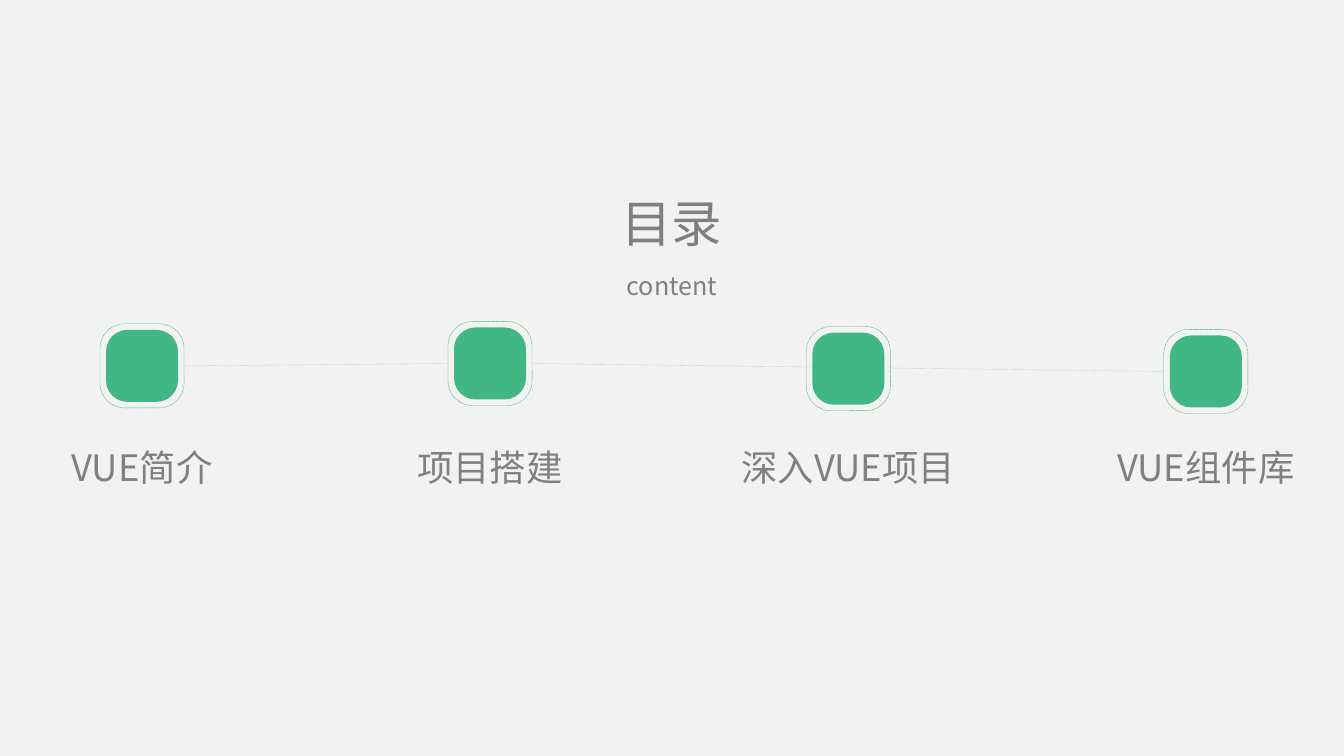
import lxml.etree
import pptx
import pptx.dml.color
import pptx.enum.dml
import pptx.enum.shapes
import pptx.enum.text
import pptx.oxml.ns
import pptx.util
from pptx.util import Cm

COLORS = {
    "background": "F2F2F2",
    "title": "7F7F7F",
    "text": "808080",
    "badge": "41B883",
    "link": "BFBFBF",
}
FONT = "Noto Sans CJK SC"
SLIDE_WIDTH, SLIDE_HEIGHT = 33.87, 19.05
BADGE_SIZE, RING_SIZE = 1.78, 2.12
CORNER = 0.294
LABEL_TOP, LABEL_HEIGHT = 11.1, 1.37

# Label, badge centre x, badge centre y, label width (cm)
CHAPTERS = [
    ("VUE简介", 3.58, 9.22, 4.57),
    ("项目搭建", 12.35, 9.16, 6.3),
    ("深入VUE项目", 21.38, 9.29, 6.3),
    ("VUE组件库", 30.39, 9.36, 5.41),
]
# Chapters joined by a line; the second line passes behind the third badge
LINKS = [(0, 1), (1, 3)]


def rgb(name):
    """Return the named colour."""
    return pptx.dml.color.RGBColor.from_string(COLORS[name])


def place(shape, center_x, top, width, height):
    """Position a shape centred horizontally on center_x."""
    shape.left, shape.top = Cm(center_x - width / 2), Cm(top)
    shape.width, shape.height = Cm(width), Cm(height)


def write_text(shape, text, size, color, wrap=True):
    """Fill a shape with one centred, formatted run."""
    frame = shape.text_frame
    frame.word_wrap = wrap
    frame.auto_size = pptx.enum.text.MSO_AUTO_SIZE.SHAPE_TO_FIT_TEXT
    frame.vertical_anchor = pptx.enum.text.MSO_ANCHOR.TOP
    paragraph = frame.paragraphs[0]
    paragraph.alignment = pptx.enum.text.PP_ALIGN.CENTER
    paragraph.space_before = pptx.util.Pt(0)
    run = paragraph.add_run()
    run.text = text
    run.font.size = pptx.util.Pt(size)
    run.font.name = FONT
    run.font.color.rgb = rgb(color)
    east_asian = lxml.etree.SubElement(
        run.font._element, pptx.oxml.ns.qn("a:ea"))
    east_asian.set("typeface", FONT)


def style_line(line, color, width, dash=None):
    """Set the colour, width and dash of a line."""
    line.color.rgb = rgb(color)
    line.width = pptx.util.Pt(width)
    if dash is not None:
        line.dash_style = dash


def add_rounded_square(shapes, center_x, center_y, size):
    """Add a rounded square around a centre point."""
    square = shapes.add_shape(
        pptx.enum.shapes.MSO_SHAPE.ROUNDED_RECTANGLE, 0, 0, 0, 0)
    place(square, center_x, center_y - size / 2, size, size)
    square.adjustments[0] = CORNER
    square.shadow.inherit = False
    return square


def add_badge(slide, center_x, center_y):
    """Add a grouped green badge with a dashed ring."""
    group = slide.shapes.add_group_shape()
    core = add_rounded_square(group.shapes, center_x, center_y, BADGE_SIZE)
    core.fill.solid()
    core.fill.fore_color.rgb = rgb("badge")
    style_line(core.line, "badge", 1)
    ring = add_rounded_square(group.shapes, center_x, center_y, RING_SIZE)
    ring.fill.background()
    style_line(ring.line, "badge", 0.25,
               pptx.enum.dml.MSO_LINE.SQUARE_DOT)


def add_label(slide, text, center_x, width):
    """Add a chapter name below its badge."""
    label = slide.shapes.add_textbox(0, 0, 0, 0)
    place(label, center_x, LABEL_TOP, width, LABEL_HEIGHT)
    write_text(label, text, 26, "text")


def add_link(slide, start, end):
    """Join the rings of two chapters with a thin dashed line."""
    _, start_x, start_y, _ = start
    _, end_x, end_y, _ = end
    link = slide.shapes.add_connector(
        pptx.enum.shapes.MSO_CONNECTOR.STRAIGHT,
        Cm(start_x + RING_SIZE / 2), Cm(start_y),
        Cm(end_x - RING_SIZE / 2), Cm(end_y))
    style_line(link.line, "link", 0.25, pptx.enum.dml.MSO_LINE.DASH)
    lxml.etree.SubElement(
        link._element.spPr, pptx.oxml.ns.qn("a:effectLst"))


def main():
    """Build the contents slide."""
    presentation = pptx.Presentation()
    presentation.slide_width = Cm(SLIDE_WIDTH)
    presentation.slide_height = Cm(SLIDE_HEIGHT)
    slide = presentation.slides.add_slide(presentation.slide_layouts[0])
    slide.background.fill.solid()
    slide.background.fill.fore_color.rgb = rgb("background")

    title, subtitle = slide.placeholders
    place(title, SLIDE_WIDTH / 2, 4.72, 3.07, 1.8)
    write_text(title, "目录", 36, "title", wrap=False)
    place(subtitle, SLIDE_WIDTH / 2, 6.68, 9.5, 1.02)
    write_text(subtitle, "content", 18, "text")

    for start, end in LINKS:
        add_link(slide, CHAPTERS[start], CHAPTERS[end])
    for text, center_x, center_y, label_width in CHAPTERS:
        add_badge(slide, center_x, center_y)
        add_label(slide, text, center_x, label_width)

    presentation.save("out.pptx")


main()
